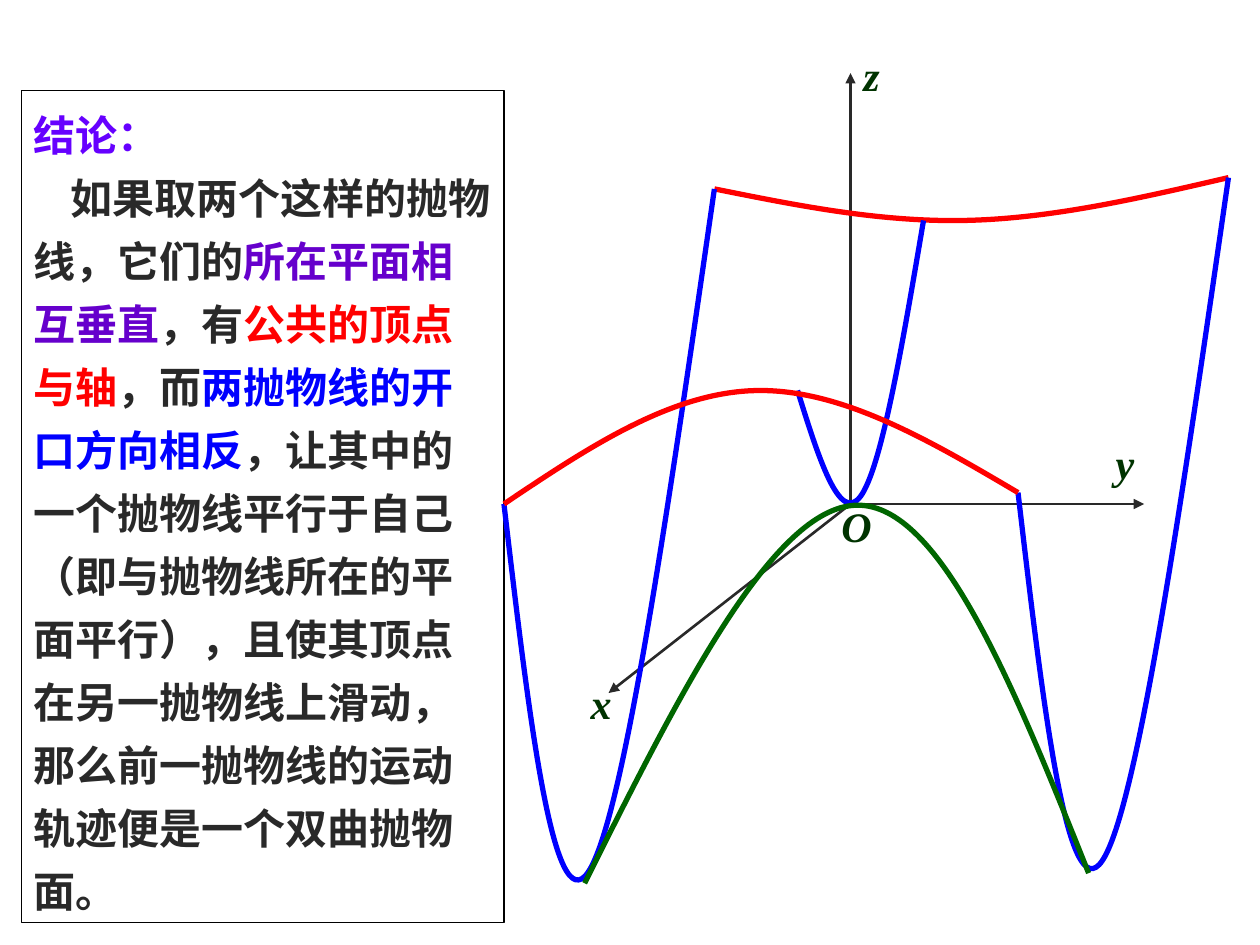
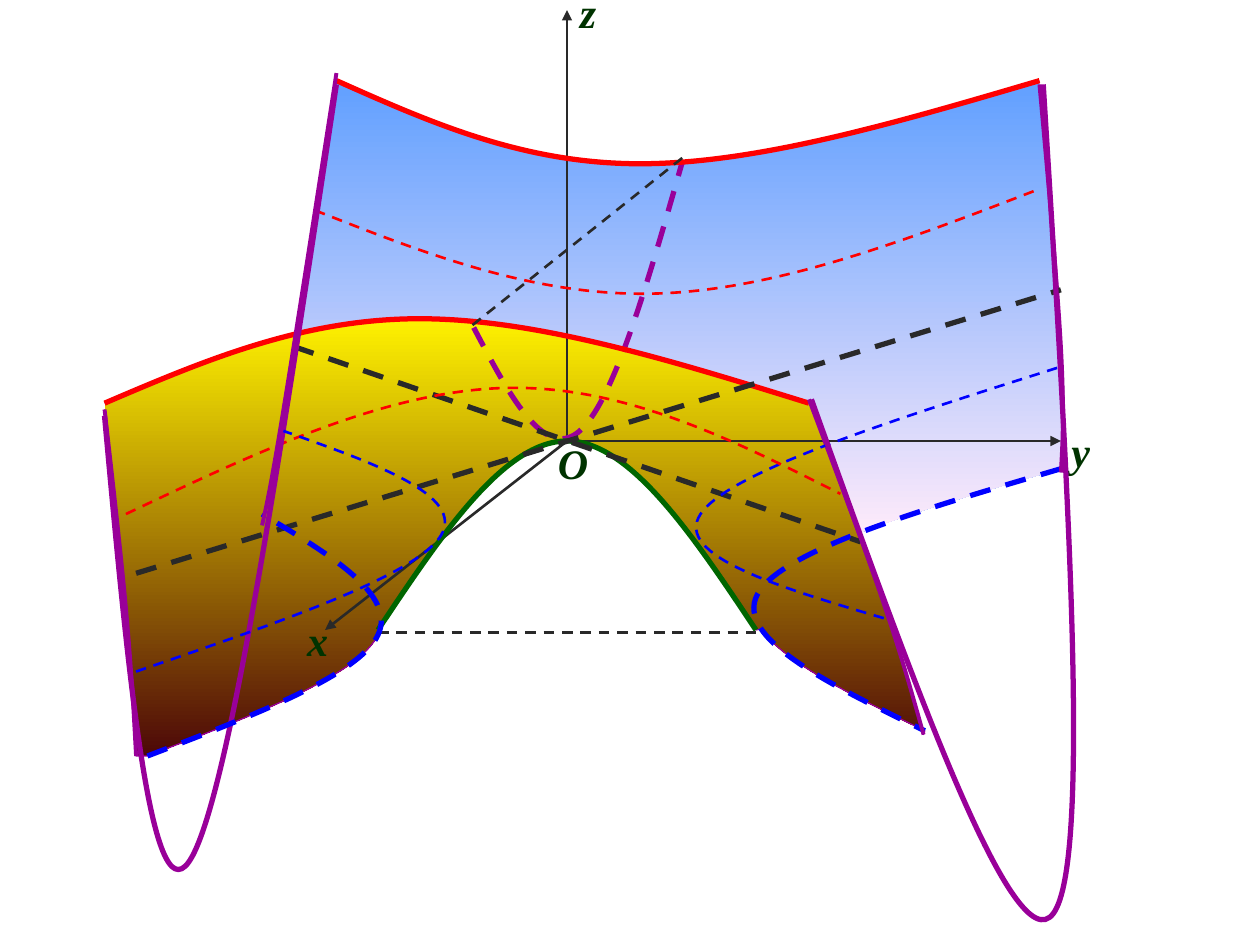
from typing import NamedTuple

from lxml.etree import SubElement
from pptx import Presentation
from pptx.dml.color import RGBColor
from pptx.enum.dml import MSO_LINE
from pptx.enum.shapes import MSO_CONNECTOR, MSO_SHAPE
from pptx.enum.text import MSO_ANCHOR, MSO_AUTO_SIZE, PP_ALIGN
from pptx.oxml.ns import qn
from pptx.util import Inches, Pt

COLORS = {
    "ink": "292929", "label": "003300", "black": "000000",
    "red": "FF0000", "blue": "0000FF", "green": "006600", "purple": "990099",
    "heading": "6600FF", "violet": "6600CC",
    "yellow": "FFF200", "maroon": "4D0808", "sky": "5E9EFF", "pink": "FFEBFA",
}
CHINESE_FONT = "Noto Sans CJK SC"
LABEL_FONT = "Times New Roman"
BOLD, EDGE, THIN, HAIRLINE = 3, 2.25, 1.5, 0.75  # line widths in points

CONCLUSION = [
    ("如果取两个这样的抛物线，它们的", "ink"),
    ("所在平面相互垂直", "violet"),
    ("，有", "ink"),
    ("公共的顶点与轴", "red"),
    ("，而", "ink"),
    ("两抛物线的开口方向相反", "blue"),
    ("，让其中的一个抛物线平行于自己（即与抛物线所在的平面平行），且使其顶点在另一"
     "抛物线上滑动，那么前一抛物线的运动轨迹便是一个双曲抛物面。", "ink"),
]


class Curve(NamedTuple):
    """A smooth curve through three points, given in inches."""
    color: str
    start: tuple
    middle: tuple
    end: tuple
    width: float = BOLD
    dashed: bool = False

    def bezier_points(self):
        """Start point and two cubic triples; the tangent at the middle is parallel to the chord."""
        tangent = [(last - first) / 6 for first, last in zip(self.start, self.end)]
        arriving = shifted(self.middle, -tangent[0], -tangent[1])
        leaving = shifted(self.middle, *tangent)
        return [self.start, midpoint(self.start, arriving), arriving, self.middle,
                leaving, midpoint(leaving, self.end), self.end]

    def point_at(self, position):
        """Point at a position from 0 (start) through 0.5 (middle) to 1 (end)."""
        half = 0 if position < 0.5 else 1
        t = 2 * position - half
        weights = ((1 - t) ** 3, 3 * t * (1 - t) ** 2, 3 * t ** 2 * (1 - t), t ** 3)
        controls = self.bezier_points()[3 * half:3 * half + 4]
        return tuple(sum(weight * value for weight, value in zip(weights, values))
                     for values in zip(*controls))

    def trace(self, first=0.0, last=1.0, steps=24):
        return [self.point_at(first + (last - first) * step / steps)
                for step in range(steps + 1)]


# The saddle: its visible edges, then the lines lying on or continuing the surface.
SADDLE_EDGES = {
    "hidden parabola": Curve("purple", (3.76, 2.6), (4.59, 3.43), (5.42, 1.27), dashed=True),
    "arch": Curve("green", (3, 5), (4.5, 3.5), (6, 5)),
    "front ridge": Curve("red", (0.83, 3.2), (3.33, 2.53), (6.42, 3.2)),
    "back ridge": Curve("red", (2.67, 0.64), (5.08, 1.3), (8.25, 0.64)),
    "right rim": Curve("blue", (8.42, 3.72), (6.01, 4.72), (7.34, 5.8), dashed=True),
    "front right": Curve("purple", (6.42, 3.17), (7, 4.75), (7.33, 5.83), EDGE),
    "back right": Curve("purple", (8.25, 0.67), (8.42, 2.75), (8.42, 3.75), EDGE),
}
SADDLE_DETAILS = {
    "right level": Curve("blue", (8.39, 2.92), (5.56, 4.08), (7.06, 4.92), THIN, True),
    "back level": Curve("red", (2.5, 1.67), (5.21, 2.33), (8.25, 1.5), THIN, True),
    "front level": Curve("red", (1, 4.08), (4, 3.08), (6.67, 3.92), THIN, True),
    "right parabola": Curve("purple", (6.44, 3.17), (8.36, 7.25), (8.28, 0.67)),
    "left parabola": Curve("purple", (0.83, 3.3), (1.5, 6.84), (2.67, 0.67)),
    "left rim": Curve("blue", (1.17, 6), (3, 5.04), (2.08, 4.08), dashed=True),
    "left level": Curve("blue", (1.08, 5.33), (3.5, 4.25), (2.25, 3.42), THIN, True),
    "front left": Curve("purple", (0.83, 3.25), (1, 4.83), (1.08, 6), EDGE),
    "back left": Curve("purple", (2.67, 0.58), (2.25, 3.25), (2.08, 4.17), EDGE),
}
SADDLE_CURVES = SADDLE_EDGES | SADDLE_DETAILS

# Each surface is bounded by stretches of curves: name, first and last position.
FRONT_BOUNDARY = [
    ("front left", 0, 1), ("left rim", 0, 0.5), ("arch", 0, 1),
    ("right rim", 0.63, 1), ("front right", 1, 0), ("front ridge", 1, 0),
]
BACK_BOUNDARY = [
    ("back left", 0, 0.36), ("front ridge", 0.31, 1), ("front right", 0, 0.33),
    ("right rim", 0.26, 0), ("back right", 1, 0), ("back ridge", 1, 0),
]


def shifted(point, dx, dy):
    return point[0] + dx, point[1] + dy


def midpoint(first, second):
    return (first[0] + second[0]) / 2, (first[1] + second[1]) / 2


def rgb(name):
    return RGBColor.from_string(COLORS[name])


def format_line(line, color, width, dashed=False):
    line.color.rgb = rgb(color)
    line.width = Pt(width)
    if dashed:
        line.dash_style = MSO_LINE.DASH


def add_run(paragraph, text, *, color, font=CHINESE_FONT, size=24, italic=False):
    run = paragraph.add_run()
    run.text = text
    run.font.name = font
    run.font.size = Pt(size)
    run.font.bold = True
    run.font.italic = italic
    run.font.color.rgb = rgb(color)
    SubElement(run.font._element, qn("a:ea"), typeface=font)


def add_line(slide, start, end, width=THIN, dashed=False, arrow=False):
    connector = slide.shapes.add_connector(
        MSO_CONNECTOR.STRAIGHT, *map(Inches, start), *map(Inches, end))
    format_line(connector.line, "ink", width, dashed)
    properties = connector._element.spPr
    if arrow:
        SubElement(properties.find(qn("a:ln")), qn("a:tailEnd"), type="triangle")
    SubElement(properties, qn("a:effectLst"))


def add_freeform(slide, points):
    start, *rest = [(Inches(x), Inches(y)) for x, y in points]
    builder = slide.shapes.build_freeform(*start, scale=1.0)
    builder.add_line_segments(rest, close=False)
    shape = builder.convert_to_shape()
    shape.shadow.inherit = False
    return shape


def add_curve(slide, curve):
    """Draw the Bezier points as straight segments, then turn each three into one cubic."""
    shape = add_freeform(slide, curve.bezier_points())
    shape.fill.background()
    format_line(shape.line, curve.color, curve.width, curve.dashed)
    outline = shape._element.find(".//" + qn("a:path"))
    segments = outline.findall(qn("a:lnTo"))
    for first in range(0, len(segments), 3):
        bezier = SubElement(outline, qn("a:cubicBezTo"))
        for segment in segments[first:first + 3]:
            bezier.append(segment[0])
            outline.remove(segment)


def add_surface(slide, boundary, top, bottom):
    """Fill the area inside a boundary with a gradient running downwards."""
    outline = [point for name, first, last in boundary
               for point in SADDLE_CURVES[name].trace(first, last)]
    shape = add_freeform(slide, outline)
    shape.fill.gradient()
    shape.fill.gradient_angle = 270
    for stop, color, position in zip(shape.fill.gradient_stops, (top, bottom), (0, 1)):
        stop.color.rgb = rgb(color)
        stop.position = position
    shape.line.fill.background()
    return shape


def add_axis_label(slide, text, position, width, align=PP_ALIGN.RIGHT):
    box = slide.shapes.add_textbox(*map(Inches, position), Inches(width), Inches(0.5))
    box.text_frame.word_wrap = align == PP_ALIGN.CENTER
    box.text_frame.auto_size = MSO_AUTO_SIZE.SHAPE_TO_FIT_TEXT
    paragraph = box.text_frame.paragraphs[0]
    paragraph.alignment = align
    add_run(paragraph, text, color="label", font=LABEL_FONT, italic=True)


def add_axes(slide, origin, y_length, y_label_offset):
    for axis in ((y_length, 0), (-1.92, 1.5), (0, -3.42)):
        add_line(slide, origin, shifted(origin, *axis), arrow=True)
    add_axis_label(slide, "O", shifted(origin, -0.17, -0.08), 0.42, PP_ALIGN.CENTER)
    add_axis_label(slide, "x", shifted(origin, -2.16, 1.33), 0.36)
    add_axis_label(slide, "z", shifted(origin, 0, -3.66), 0.33)
    add_axis_label(slide, "y", shifted(origin, *y_label_offset), 0.35)


def add_conclusion(slide):
    box = slide.shapes.add_shape(
        MSO_SHAPE.RECTANGLE, Inches(0.17), Inches(0.72), Inches(3.83), Inches(6.6))
    box.shadow.inherit = False
    box.fill.background()
    format_line(box.line, "black", HAIRLINE)
    frame = box.text_frame
    frame.word_wrap = True
    frame.auto_size = MSO_AUTO_SIZE.SHAPE_TO_FIT_TEXT
    frame.vertical_anchor = MSO_ANCHOR.TOP
    heading, body = frame.paragraphs[0], frame.add_paragraph()
    for paragraph in (heading, body):
        paragraph.alignment = PP_ALIGN.LEFT
        paragraph.line_spacing = 1.25
    body._p.get_or_add_pPr().set("indent", str(Inches(0.29)))
    add_run(heading, "结论：", color="heading")
    for text, color in CONCLUSION:
        add_run(body, text, color=color)


def sliding_parabola(vertex):
    """The same upward parabola, wherever its vertex has slid to."""
    return Curve("blue", shifted(vertex, -0.67, -2.92), vertex, shifted(vertex, 1, -5.42))


def build_conclusion_slide(slide):
    add_axes(slide, (6.75, 4), 2.33, (2, -0.58))
    add_conclusion(slide)
    left = sliding_parabola((4.67, 6.92))
    right = sliding_parabola((8.75, 6.83))
    central = Curve("blue", (6.33, 3.1), (6.83, 3.94), (7.33, 1.75))
    guide = Curve("green", (4.64, 7.01), (6.8, 4.01), (8.64, 6.93))
    back_track = Curve("red", left.end, (7.67, 1.75), right.end)
    front_track = Curve("red", left.start, (6, 3.1), right.start)
    for curve in (back_track, central, right, left, guide, front_track):
        add_curve(slide, curve)


def build_saddle_slide(slide):
    front = add_surface(slide, FRONT_BOUNDARY, "yellow", "maroon")
    format_line(front.line, "purple", HAIRLINE)
    add_surface(slide, BACK_BOUNDARY, "sky", "pink")
    add_axes(slide, (4.5, 3.5), 3.92, (3.9, -0.17))
    for curve in SADDLE_EDGES.values():
        add_curve(slide, curve)

    parabola_chord = (3.75, 2.58), (5.42, 1.25)
    arch_chord = (3, 5.02), (6, 5.02)
    rising_asymptote = (1.08, 4.55), (8.42, 2.3)
    falling_asymptote = (2.33, 2.75), (6.83, 4.3)
    for chord in (parabola_chord, arch_chord):
        add_line(slide, *chord, THIN, dashed=True)
    for asymptote in (rising_asymptote, falling_asymptote):
        add_line(slide, *asymptote, BOLD, dashed=True)

    for curve in SADDLE_DETAILS.values():
        add_curve(slide, curve)


def main():
    presentation = Presentation()
    presentation.slide_width = Inches(10)
    presentation.slide_height = Inches(7.5)
    for build in (build_conclusion_slide, build_saddle_slide):
        build(presentation.slides.add_slide(presentation.slide_layouts[6]))
    presentation.save("out.pptx")


if __name__ == "__main__":
    main()
